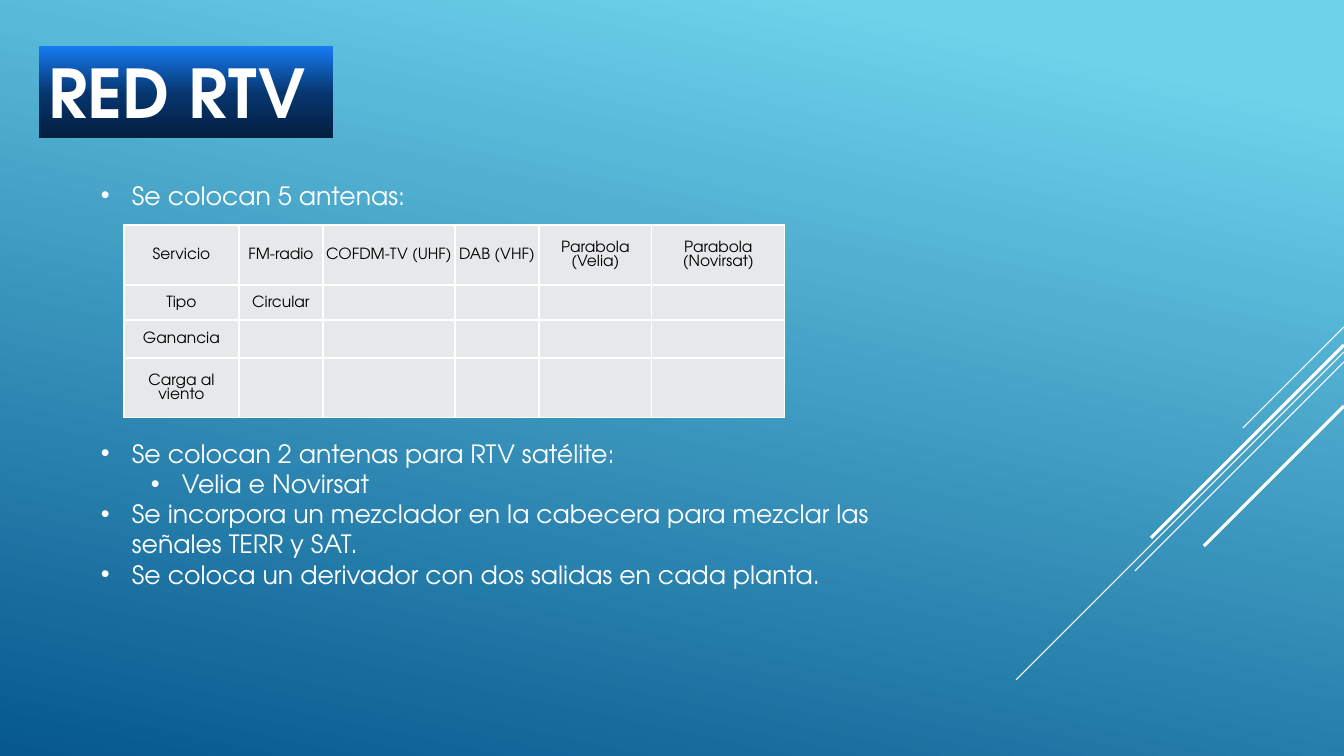
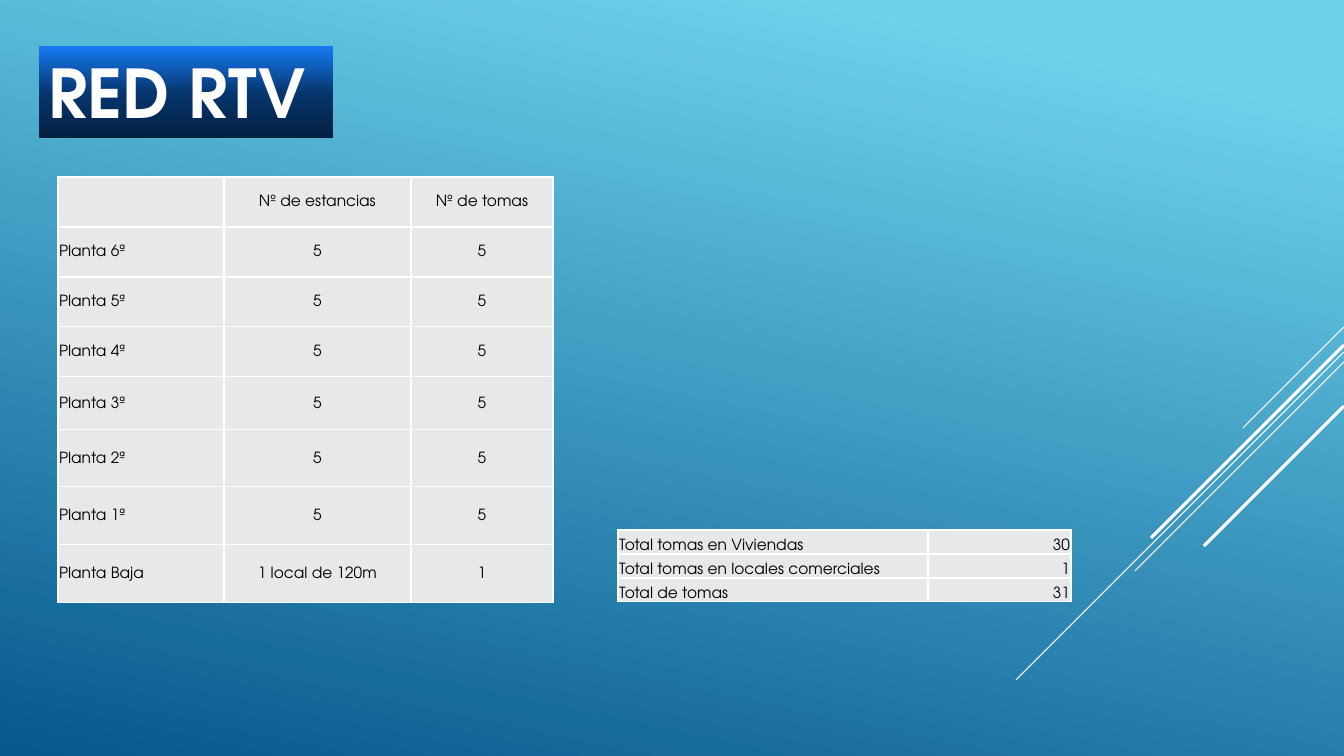
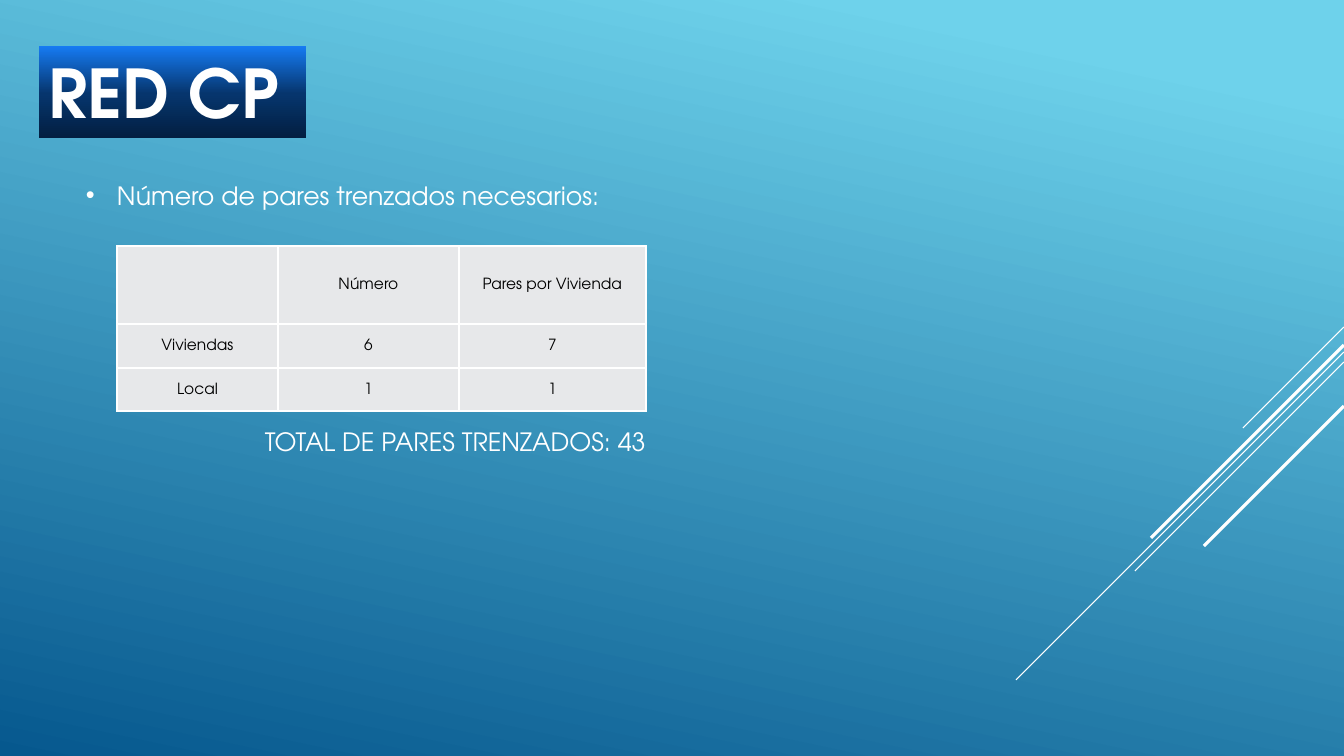
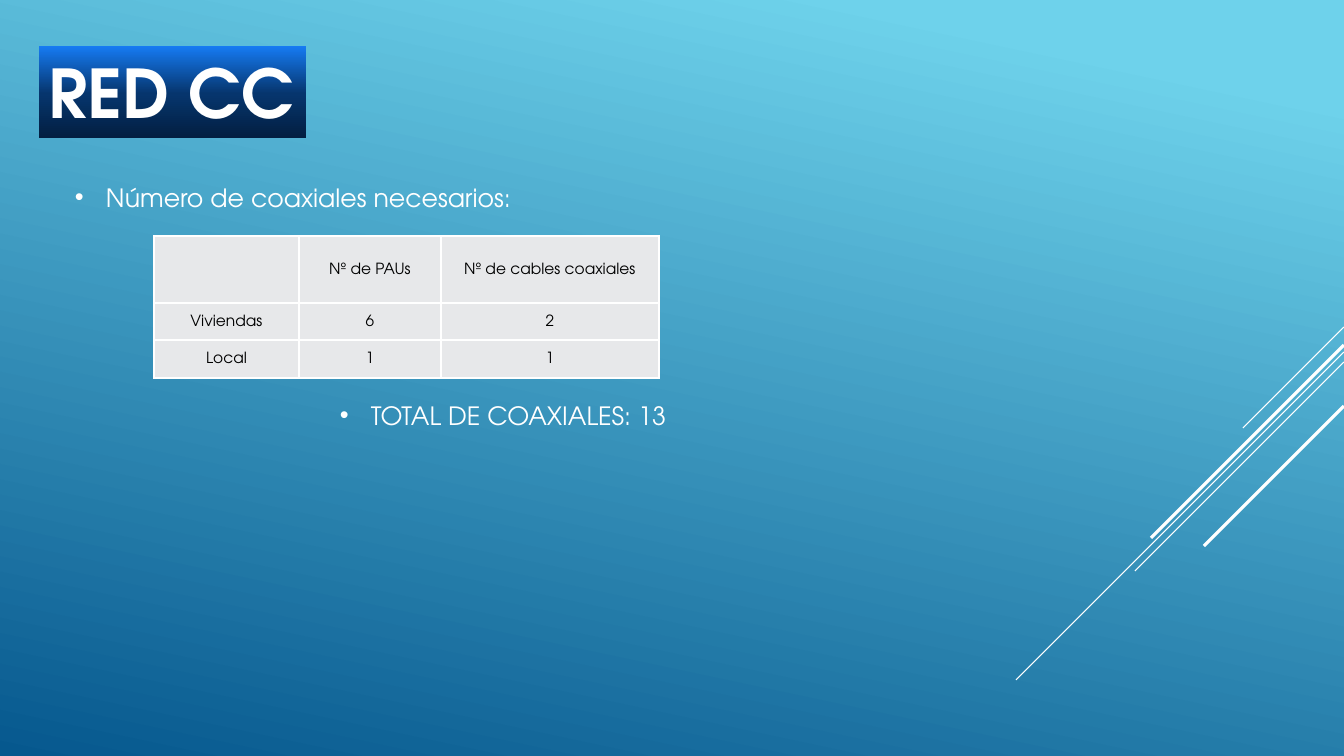
import lxml.etree
import pptx
import pptx.dml.color
import pptx.enum.shapes
import pptx.enum.text
import pptx.oxml.ns
import pptx.util

EMU_PER_PX = 914400 / 100.8
SLIDE_WIDTH, SLIDE_HEIGHT = 1344, 756
FONT = "TeX Gyre Adventor"
COLORS = {
    "white": "FFFFFF",
    "black": "000000",
    "cell": "E7E8EA",
    "sky": "6ED2EB",
    "ocean": "06588E",
    "navy": "031F41",
    "royal": "06356D",
    "bright": "167BF3",
}
ALIGNMENTS = {
    "l": pptx.enum.text.PP_ALIGN.LEFT,
    "c": pptx.enum.text.PP_ALIGN.CENTER,
    "r": pptx.enum.text.PP_ALIGN.RIGHT,
}
MIDDLE = pptx.enum.text.MSO_ANCHOR.MIDDLE
BOTTOM = pptx.enum.text.MSO_ANCHOR.BOTTOM
# Diagonal rays from the right edge: top, run to the left and down, width in points
RAYS = [(327, 101, 0.75), (352, 328, 0.75), (362, 209, 0.75), (345, 193, 2.25), (406, 140, 2.25)]
BULLET_INDENT = 31
LEVEL_INDENT = 50


def px(length):
    return pptx.util.Emu(round(length * EMU_PER_PX))


def rgb(name):
    return pptx.dml.color.RGBColor.from_string(COLORS[name])


def add_xml(parent, tag, **attributes):
    return lxml.etree.SubElement(parent, pptx.oxml.ns.qn(tag), **attributes)


def set_gradient(fill, element, angle, stops):
    """Angle is counter-clockwise; stops are (percent, colour name)."""
    fill.gradient()
    fill.gradient_angle = angle
    stop_list = element.find(".//" + pptx.oxml.ns.qn("a:gsLst"))
    for stop in list(stop_list):
        stop_list.remove(stop)
    for percent, name in stops:
        stop = add_xml(stop_list, "a:gs", pos=str(percent * 1000))
        add_xml(stop, "a:srgbClr", val=COLORS[name])


def style_runs(paragraph, size, color, bold=False):
    for run in paragraph.runs:
        run.font.name = FONT
        run.font.size = pptx.util.Pt(size)
        run.font.bold = bold
        run.font.color.rgb = rgb(color)


# Shared background and rays
def decorate_layout(presentation, layout, slide):
    master = presentation.slide_master
    set_gradient(master.background.fill, master.element, 258, [(10, "sky"), (100, "ocean")])
    for placeholder in list(layout.placeholders):
        layout.shapes.element.remove(placeholder.element)
    for top, run, width in RAYS:
        ray = slide.shapes.add_connector(
            pptx.enum.shapes.MSO_CONNECTOR.STRAIGHT,
            px(SLIDE_WIDTH), px(top), px(SLIDE_WIDTH - run), px(top + run))
        ray.line.color.rgb = rgb("white")
        ray.line.width = pptx.util.Pt(width)
        add_xml(ray.element.spPr, "a:effectLst")
        layout.shapes.element.append(ray.element)


# Title band
def add_title(slide, text, width):
    band = slide.shapes.add_shape(
        pptx.enum.shapes.MSO_SHAPE.RECTANGLE, px(39), px(46), px(width), px(92))
    band.shadow.inherit = False
    band.line.fill.background()
    set_gradient(band.fill, band.element, 90, [(0, "navy"), (48, "royal"), (100, "bright")])
    frame = band.text_frame
    frame.text = text
    frame.word_wrap = True
    frame.vertical_anchor = pptx.enum.text.MSO_ANCHOR.TOP
    frame.auto_size = pptx.enum.text.MSO_AUTO_SIZE.SHAPE_TO_FIT_TEXT
    paragraph = frame.paragraphs[0]
    paragraph.alignment = ALIGNMENTS["l"]
    style_runs(paragraph, 48, "white", bold=True)


# Body text: items are (level, text); level None has no bullet
def add_body(slide, box, items):
    frame = slide.shapes.add_textbox(*map(px, box)).text_frame
    frame.word_wrap = True
    frame.auto_size = pptx.enum.text.MSO_AUTO_SIZE.SHAPE_TO_FIT_TEXT
    frame.text = "\n".join(text for _, text in items)
    for paragraph, (level, _) in zip(frame.paragraphs, items):
        style_runs(paragraph, 18, "white")
        if level is None:
            continue
        paragraph.level = level
        properties = paragraph._p.get_or_add_pPr()
        properties.set("marL", str(px(BULLET_INDENT + level * LEVEL_INDENT)))
        properties.set("indent", str(px(-BULLET_INDENT)))
        add_xml(properties, "a:buFont", typeface="Arial")
        add_xml(properties, "a:buChar", char="•")


# Tables
def format_cell(cell, text, alignment, anchor):
    cell.margin_left = cell.margin_right = cell.margin_top = px(1)
    cell.margin_bottom = 0
    cell.vertical_anchor = anchor
    cell.text_frame.text = text
    for paragraph in cell.text_frame.paragraphs:
        paragraph.alignment = alignment
        style_runs(paragraph, 11, "black")
    properties = cell._tc.get_or_add_tcPr()
    for side in ("a:lnL", "a:lnR", "a:lnT", "a:lnB"):
        border = add_xml(properties, side, w=str(pptx.util.Pt(1)))
        add_xml(add_xml(border, "a:solidFill"), "a:srgbClr", val=COLORS["white"])
    cell.fill.solid()
    cell.fill.fore_color.rgb = rgb("cell")


def add_grid(slide, left, top, widths, heights, rows, alignments=None, anchor=MIDDLE):
    alignments = alignments or "c" * len(widths)
    table = slide.shapes.add_table(
        len(heights), len(widths), px(left), px(top), px(sum(widths)), px(sum(heights))).table
    table.first_row = table.horz_banding = False
    for column, width in zip(table.columns, widths):
        column.width = px(width)
    for row, height, texts in zip(table.rows, heights, rows):
        row.height = px(height)
        for cell, text, key in zip(row.cells, texts, alignments):
            format_cell(cell, text, ALIGNMENTS[key], anchor)


# Slides
def build_antennas(slide):
    add_title(slide, "RED RTV", 294)
    add_body(slide, (91, 175, 815, 40), [(0, "Se colocan 5 antenas:")])
    add_body(slide, (91, 433, 815, 194), [
        (0, "Se colocan 2 antenas para RTV satélite:"),
        (1, "Velia e Novirsat"),
        (0, "Se incorpora un mezclador en la cabecera para mezclar las señales TERR y SAT."),
        (0, "Se coloca un derivador con dos salidas en cada planta."),
    ])
    blank = [""] * 5
    add_grid(slide, 124, 225, [115, 84, 132, 84, 113, 133], [60, 35, 38, 60], [
        ["Servicio", "FM-radio", "COFDM-TV (UHF)", "DAB (VHF)",
         "Parabola (Velia)", "Parabola (Novirsat)"],
        ["Tipo", "Circular"] + blank[1:],
        ["Ganancia"] + blank,
        ["Carga al viento"] + blank,
    ])


def build_outlets(slide):
    add_title(slide, "RED RTV", 294)
    floors = [[f"Planta {number}ª", "5", "5"] for number in range(6, 0, -1)]
    add_grid(slide, 58, 177, [166, 187, 142], [50, 50, 50, 50, 53, 57, 58, 58],
             [["", "Nº de estancias", "Nº de tomas"], *floors,
              ["Planta Baja", "1 local de 120m", "1"]], "lcc")
    add_grid(slide, 618, 530, [310, 143], [24] * 3, [
        ["Total tomas en Viviendas", "30"],
        ["Total tomas en locales comerciales", "1"],
        ["Total de tomas", "31"],
    ], "lr", BOTTOM)


def build_pairs(slide):
    add_title(slide, "RED CP", 267)
    add_body(slide, (76, 175, 571, 40), [(0, "Número de pares trenzados necesarios:")])
    add_grid(slide, 117, 246, [161, 181, 187], [78, 44, 43], [
        ["", "Número", "Pares por Vivienda"],
        ["Viviendas", "6", "7"],
        ["Local", "1", "1"],
    ])
    add_body(slide, (255, 421, 513, 40), [(None, "TOTAL DE PARES TRENZADOS: 43")])


def build_coaxials(slide):
    add_title(slide, "RED CC", 267)
    add_grid(slide, 154, 236, [145, 142, 218], [67, 37, 38], [
        ["", "Nº de PAUs", "Nº de cables coaxiales"],
        ["Viviendas", "6", "2"],
        ["Local", "1", "1"],
    ])
    add_body(slide, (65, 177, 684, 40), [(0, "Número de coaxiales necesarios:")])
    add_body(slide, (330, 395, 684, 40), [(0, "TOTAL DE COAXIALES: 13")])


def main():
    presentation = pptx.Presentation()
    presentation.slide_width = px(SLIDE_WIDTH)
    presentation.slide_height = px(SLIDE_HEIGHT)
    layout = presentation.slide_layouts[6]
    builders = [build_antennas, build_outlets, build_pairs, build_coaxials]
    slides = [presentation.slides.add_slide(layout) for _ in builders]
    decorate_layout(presentation, layout, slides[0])
    for build, slide in zip(builders, slides):
        build(slide)
    presentation.save("out.pptx")


if __name__ == "__main__":
    main()
